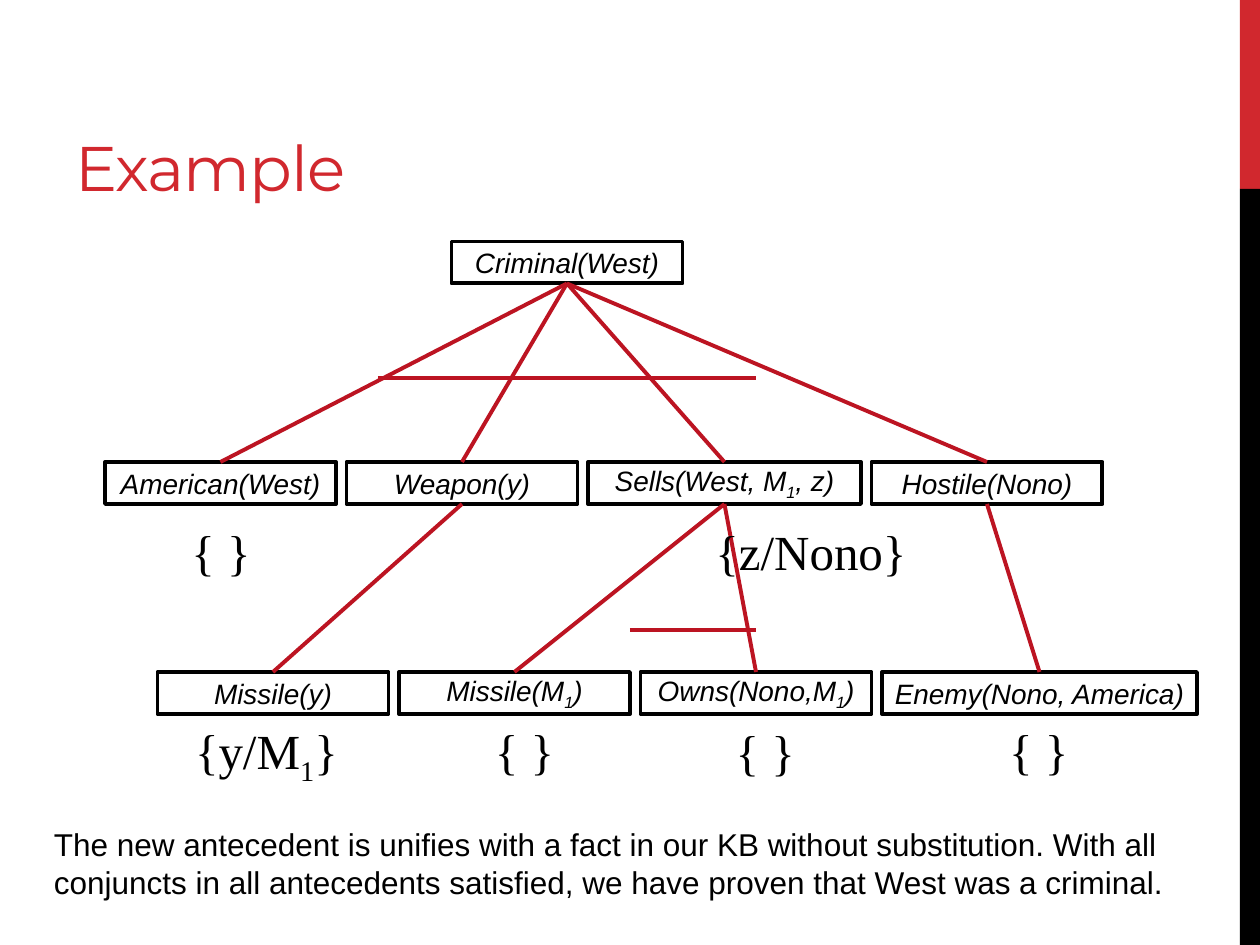
from lxml.etree import SubElement
from pptx import Presentation
from pptx.dml.color import RGBColor
from pptx.enum.shapes import MSO_CONNECTOR as Connector, MSO_SHAPE as Shape
from pptx.enum.text import MSO_ANCHOR as Anchor, PP_ALIGN as Align
from pptx.oxml.ns import qn
from pptx.util import Inches, Pt

RED, BLACK, WHITE, LINE = "D1282E", "000000", "FFFFFF", "BC1422"
UNIT = 1 / 12
GAP, BOX_HEIGHT = 1, 4
TITLE = "Example"
ROWS = [
    (43, 23, [("Criminal(West)", 22)]),
    (10, 44, [("American(West)", 22), ("Weapon(y)", 22),
              ("Sells(West, M_1_, z)", 26), ("Hostile(Nono)", 22)]),
    (15, 64, [("Missile(y)", 22), ("Missile(M_1_)", 22),
              ("Owns(Nono,M_1_)", 22), ("Enemy(Nono, America)", 30)]),
]
EDGES = [((0, 0), (1, 0)), ((0, 0), (1, 1)), ((0, 0), (1, 2)), ((0, 0), (1, 3)),
         ((1, 1), (2, 0)), ((1, 2), (2, 1)), ((1, 2), (2, 2)), ((1, 3), (2, 3))]
ARCS = [
    [(3.42, 2.67), (3.8, 2.79), (4.19, 2.91), (4.59, 2.92), (5, 2.93), (5.42, 2.83), (5.83, 2.73)],
    [(4.92, 4.58), (5.09, 4.7), (5.26, 4.82), (5.44, 4.83), (5.62, 4.84), (5.81, 4.74), (6, 4.65)],
]
BINDINGS = [("{ }", 1.42, 4.09, 0.68), ("{z/Nono}", 5.58, 4.09, 1.75),
            ("{y/M_1_}", 1.45, 5.67, 1.36), ("{ }", 3.83, 5.67, 0.68),
            ("{ }", 5.74, 5.68, 0.68), ("{ }", 7.91, 5.67, 0.68)]
CONCLUSION = ("The new antecedent is unifies with a fact in our KB without substitution. "
              "With all conjuncts in all antecedents satisfied, we have proven that West was a criminal.")


def color(value):
    return RGBColor.from_string(value)


def write(frame, text, size, font, ink=BLACK, italic=False, align=Align.LEFT):
    """Write text in one paragraph; parts between underscores are subscripts."""
    paragraph = frame.paragraphs[0]
    paragraph.alignment = align
    paragraph.font.size, paragraph.font.name = Pt(size), font
    paragraph.font.italic = italic
    paragraph.font.color.rgb = color(ink)
    for index, part in enumerate(text.split("_")):
        run = paragraph.add_run()
        run.text = part
        if index % 2:
            run._r.get_or_add_rPr().set("baseline", "-25000")
    return paragraph


def add_rectangle(slide, left, top, width, height, fill, outline=None):
    shape = slide.shapes.add_shape(Shape.RECTANGLE, *map(Inches, (left, top, width, height)))
    shape.shadow.inherit = False
    shape.fill.solid()
    shape.fill.fore_color.rgb = color(fill)
    if outline:
        shape.line.color.rgb, shape.line.width = color(outline), Pt(2.25)
    else:
        shape.line.fill.background()
    return shape


def add_text(slide, text, left, top, width, height, size, font, wrap):
    frame = slide.shapes.add_textbox(*map(Inches, (left, top, width, height))).text_frame
    frame.word_wrap = wrap
    write(frame, text, size, font)


def add_node(slide, text, left, top, width):
    shape = add_rectangle(slide, left * UNIT, top * UNIT, width * UNIT, BOX_HEIGHT * UNIT, WHITE, BLACK)
    frame = shape.text_frame
    frame.word_wrap, frame.vertical_anchor = False, Anchor.MIDDLE
    write(frame, text, 16, "Arial", italic=True, align=Align.CENTER)
    return shape


def add_edge(slide, parent, child):
    edge = slide.shapes.add_connector(
        Connector.STRAIGHT, parent.left + parent.width // 2, parent.top + parent.height,
        child.left + child.width // 2, child.top)
    edge.line.color.rgb, edge.line.width = color(LINE), Pt(2.25)
    SubElement(edge._element.spPr, qn("a:effectLst"))


def bezier(controls, steps=20):
    for step in range(1, steps + 1):
        t = step / steps
        weights = ((1 - t) ** 3, 3 * t * (1 - t) ** 2, 3 * t * t * (1 - t), t ** 3)
        yield tuple(sum(w * value for w, value in zip(weights, axis)) for axis in zip(*controls))


def add_arc(slide, controls):
    points = [*bezier(controls[:4]), *bezier(controls[3:])]
    builder = slide.shapes.build_freeform(*controls[0], scale=Inches(1))
    builder.add_line_segments(points, close=False)
    arc = builder.convert_to_shape()
    arc.shadow.inherit = False
    arc.fill.background()
    arc.line.color.rgb, arc.line.width = color(LINE), Pt(2.25)


def main():
    presentation = Presentation()
    presentation.slide_width, presentation.slide_height = Inches(10), Inches(7.5)
    slide = presentation.slides.add_slide(presentation.slide_layouts[5])
    add_rectangle(slide, 9.84, 0, 0.16, 1.5, RED)
    add_rectangle(slide, 9.84, 1.5, 0.16, 6, BLACK)

    title = slide.shapes.title
    title.left, title.top, title.width, title.height = map(Inches, (0.5, 0.17, 6.33, 1.5))
    title.text_frame.vertical_anchor = Anchor.BOTTOM
    heading = write(title.text_frame, TITLE, 36, "Montserrat", RED)
    heading.runs[0]._r.get_or_add_rPr().set("spc", "-60")

    nodes = {}
    for row, (left, top, labels) in enumerate(ROWS):
        for column, (text, width) in enumerate(labels):
            nodes[row, column] = add_node(slide, text, left, top, width)
            left += width + GAP
    for parent, child in EDGES:
        add_edge(slide, nodes[parent], nodes[child])
    for controls in ARCS:
        add_arc(slide, controls)
    for text, left, top, width in BINDINGS:
        add_text(slide, text, left, top, width, 0.57, 28, "Times New Roman", False)
    add_text(slide, CONCLUSION, 0.33, 6.5, 9.33, 0.71, 18, "Arial", True)
    presentation.save("out.pptx")


if __name__ == "__main__":
    main()
